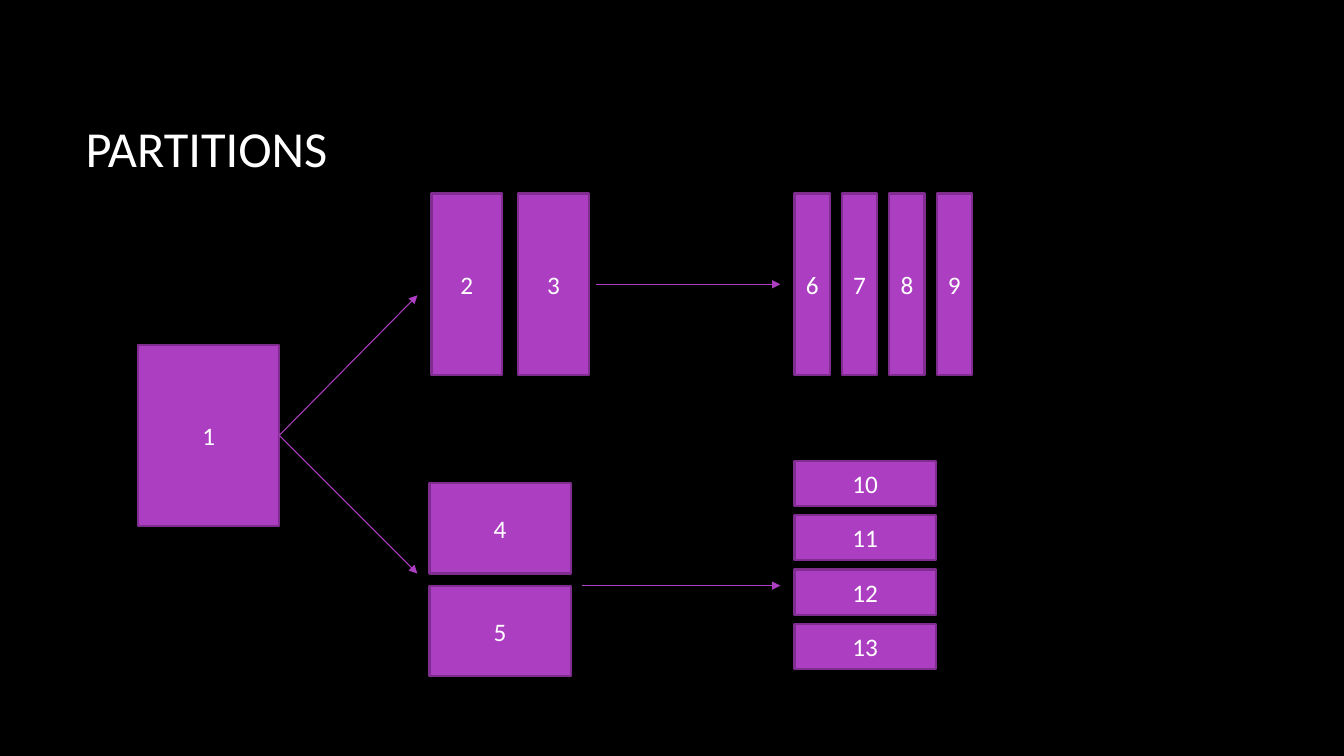
from dataclasses import dataclass

from lxml.etree import SubElement
from pptx import Presentation
from pptx.dml.color import RGBColor
from pptx.enum.shapes import MSO_CONNECTOR as Connector, MSO_SHAPE as Preset
from pptx.enum.text import MSO_ANCHOR as Anchor, PP_ALIGN as Align
from pptx.oxml.ns import qn
from pptx.shapes.autoshape import Shape
from pptx.shapes.connector import Connector as ConnectorShape
from pptx.slide import Slide
from pptx.util import Pt

PX = 9144  # EMU per px, 100 px to the inch
FONT = "Calibri"
BLACK, WHITE = "000000", "FFFFFF"
PURPLE, DARK_PURPLE = "AC3EC1", "7F2E8F"
RIGHT_SIDE = 3


@dataclass(frozen=True)
class Split:
    """Equal blocks with consecutive numbers, each one step after the last."""
    first: int
    count: int
    left: int
    top: int
    width: int
    height: int
    step_x: int = 0
    step_y: int = 0


@dataclass(frozen=True)
class Arrow:
    start: tuple[int, int]
    end: tuple[int, int]
    source: int | None = None


SPLITS = [
    Split(1, 1, 137, 342, 140, 180),
    Split(2, 2, 428, 192, 70, 180, step_x=86),
    Split(4, 2, 426, 479, 140, 90, step_y=102),
    Split(6, 4, 788, 192, 35, 180, step_x=47),
    Split(10, 4, 788, 457, 140, 45, step_y=54),
]
ARROWS = [
    Arrow((277, 432), (414, 293), source=1),
    Arrow((277, 432), (414, 569), source=1),
    Arrow((591, 282), (774, 282)),
    Arrow((577, 581), (774, 581)),
]


def px(*lengths: int) -> list[int]:
    return [length * PX for length in lengths]


def color(value: str) -> RGBColor:
    return RGBColor.from_string(value)


def write(shape: Shape, text: str, size: int, align: Align) -> None:
    frame = shape.text_frame
    frame.word_wrap = True
    frame.vertical_anchor = Anchor.MIDDLE
    paragraph = frame.paragraphs[0]
    paragraph.alignment = align
    run = paragraph.add_run()
    run.text = text
    run.font.name = FONT
    run.font.size = Pt(size)
    run.font.color.rgb = color(WHITE)


def draw_split(slide: Slide, split: Split) -> dict[int, Shape]:
    """Draw the blocks and return them by number."""
    blocks = {}
    for i in range(split.count):
        block = slide.shapes.add_shape(Preset.RECTANGLE, *px(
            split.left + i * split.step_x, split.top + i * split.step_y,
            split.width, split.height))
        block.shadow.inherit = False
        block.fill.solid()
        block.fill.fore_color.rgb = color(PURPLE)
        block.line.color.rgb = color(DARK_PURPLE)
        block.line.width = Pt(1.5)
        write(block, str(split.first + i), 18, Align.CENTER)
        blocks[split.first + i] = block
    return blocks


def draw_arrow(slide: Slide, arrow: Arrow) -> ConnectorShape:
    line = slide.shapes.add_connector(
        Connector.STRAIGHT, *px(*arrow.start, *arrow.end))
    line.line.color.rgb = color(PURPLE)
    line.line.width = Pt(0.75)
    SubElement(line.line._get_or_add_ln(), qn("a:tailEnd"), type="triangle")
    SubElement(line._element.spPr, qn("a:effectLst"))
    return line


def main() -> None:
    deck = Presentation()
    deck.slide_width, deck.slide_height = px(1333, 750)
    slide = deck.slides.add_slide(deck.slide_layouts[6])
    slide.background.fill.solid()
    slide.background.fill.fore_color.rgb = color(BLACK)

    title = slide.shapes.add_textbox(*px(75, 67, 1108, 159))
    write(title, "PARTITIONS", 36, Align.LEFT)

    blocks = {}
    for split in SPLITS:
        blocks.update(draw_split(slide, split))
    for arrow in ARROWS:
        line = draw_arrow(slide, arrow)
        if arrow.source:
            line.begin_connect(blocks[arrow.source], RIGHT_SIDE)

    deck.save("out.pptx")


if __name__ == "__main__":
    main()
